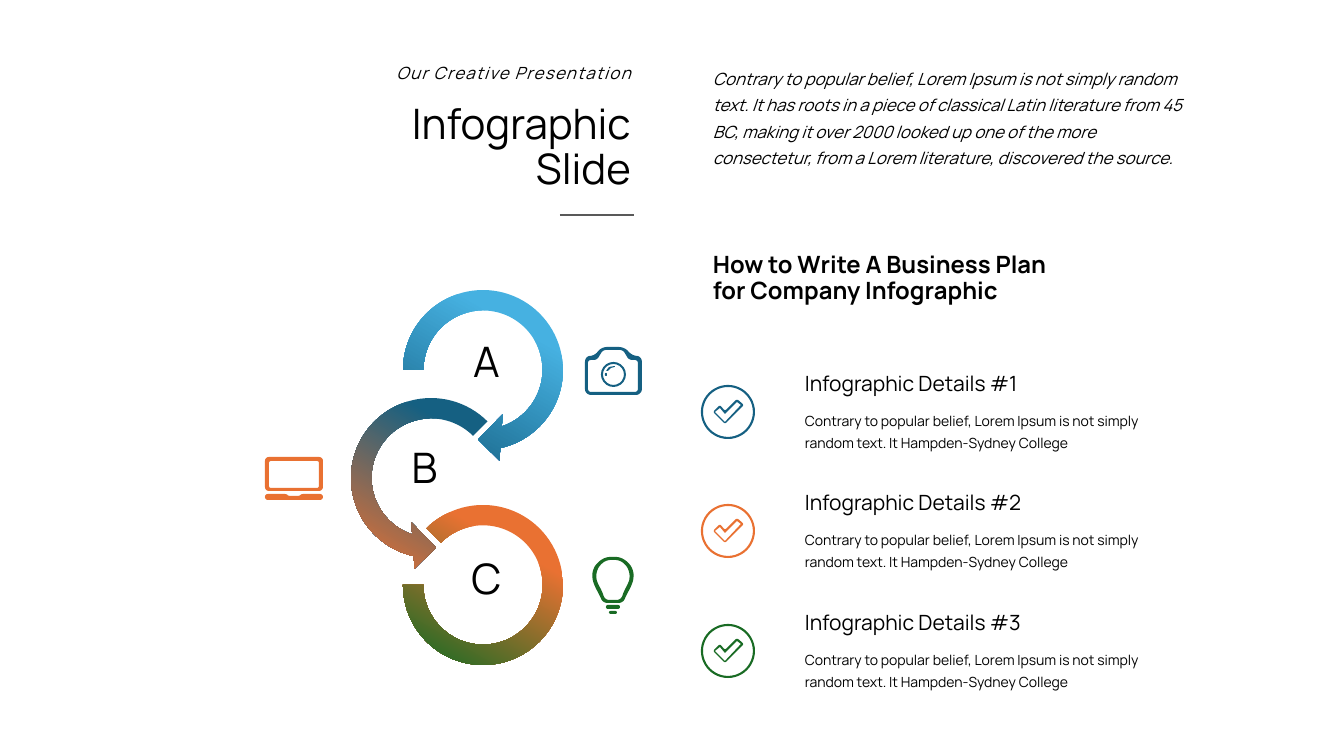
import math
import pptx
import pptx.util
import pptx.dml.color
import pptx.enum.shapes
import pptx.enum.text
import lxml.etree

PX = 9072
FONT = "Manrope"
HUES = {"black": "000000", "gray": "595959", "sky": "46B1E1",
        "blue": "156082", "orange": "E97132", "green": "196B24"}
RGB = {name: pptx.dml.color.RGBColor.from_string(code) for name, code in HUES.items()}
ALIGN = pptx.enum.text.PP_ALIGN
KIND = pptx.enum.shapes.MSO_SHAPE

deck = pptx.Presentation()
deck.slide_width, deck.slide_height = 1344 * PX, 756 * PX
slide = deck.slides.add_slide(deck.slide_layouts[5])
shapes = slide.shapes


def write(area, words, size, align=ALIGN.LEFT, space=0.9, bold=False, slant=False, box=None):
    left, top, width, height = [n * PX for n in area]
    if box is None:
        box = shapes.add_textbox(left, top, width, height)
    else:
        box.left, box.top, box.width, box.height = left, top, width, height
    frame = box.text_frame
    frame.text = words
    frame.word_wrap = True
    frame.auto_size = pptx.enum.text.MSO_AUTO_SIZE.NONE
    frame.vertical_anchor = pptx.enum.text.MSO_ANCHOR.TOP
    para = frame.paragraphs[0]
    para.alignment = align
    para.line_spacing = space
    font = para.runs[0].font
    font.name, font.size = FONT, pptx.util.Pt(size)
    font.bold, font.italic = bold, slant
    font.color.rgb = RGB["black"]
    return box


def draw(loops, hue):
    pen = None
    for bend, spots in loops:
        curve = []
        for i, spot in enumerate(spots):
            ends = []
            for near in (spots[i - 1], spots[(i + 1) % len(spots)]):
                span = math.dist(spot, near)
                part = min(bend, span / 2) / span
                ends.append([s + (n - s) * part for s, n in zip(spot, near)])
            for t in (0, 0.2, 0.4, 0.6, 0.8, 1):
                a, b, c = (1 - t) ** 2, 1.41 * t * (1 - t), t ** 2
                curve.append([PX * (a * p + b * q + c * r) / (a + b + c)
                              for p, q, r in zip(ends[0], spot, ends[1])])
        if pen is None:
            pen = shapes.build_freeform(*curve[0], scale=1.0)
        else:
            pen.move_to(*curve[0])
        pen.add_line_segments(curve[1:], close=True)
    icon = pen.convert_to_shape()
    icon.shadow.inherit = False
    icon.fill.solid()
    icon.fill.fore_color.rgb = RGB[hue]
    icon.line.fill.background()


write((304, 98, 337, 112), "Infographic Slide", 30, ALIGN.RIGHT, box=shapes.title)
motto = write((340, 60, 301, 30), "Our Creative Presentation", 12, ALIGN.RIGHT, slant=True)
motto.text_frame.paragraphs[0].runs[0].font._element.set("spc", "100")

rule = shapes.add_connector(pptx.enum.shapes.MSO_CONNECTOR.STRAIGHT,
                            560 * PX, 215 * PX, 634 * PX, 215 * PX)
rule.line.color.rgb = RGB["gray"]
rule.line.width = pptx.util.Pt(2)
lxml.etree.SubElement(rule._element.spPr, pptx.oxml.ns.qn("a:effectLst"))

write((703, 57, 499, 142),
      "Contrary to popular belief, Lorem Ipsum is not simply random text. "
      "It has roots in a piece of classical Latin literature from 45 BC, "
      "making it over 2000 looked up one of the more consectetur, "
      "from a Lorem literature, discovered the source.",
      12, space=pptx.util.Pt(19), slant=True)

rings = [
    (KIND.CIRCULAR_ARROW, 390, 277, 186, (0.11, 11.423, 45, 108, 0.125), "sky", "blue"),
    (KIND.LEFT_CIRCULAR_ARROW, 338, 385, 186, (0.11, 11.423, 63, 189, 0.125), "blue", "orange"),
    (KIND.BLOCK_ARC, 403, 505, 160, (135, 108, 0.127), "orange", "green"),
]
for kind, left, top, size, bends, start, end in rings:
    ring = shapes.add_shape(kind, left * PX, top * PX, size * PX, size * PX)
    ring.shadow.inherit = False
    for i, bend in enumerate(bends):
        ring.adjustments[i] = bend
    ring.line.fill.background()
    ring.fill.gradient()
    ring.fill.gradient_angle = 240
    for stop, place, hue in zip(ring.fill.gradient_stops, (0.28, 0.96), (start, end)):
        stop.position = place
        stop.color.rgb = RGB[hue]

for mark, left, top in (("A", 453, 336), ("B", 391, 442), ("C", 453, 553)):
    write((left, top, 67, 61), mark, 30, ALIGN.CENTER)

laptop = [
    (4, [(265, 457), (323, 457), (323, 491), (265, 491)]),
    (2, [(269, 461), (319, 461), (319, 488), (269, 488)]),
    (3, [(265, 494), (287, 494), (288, 496), (300, 496), (301, 494),
         (323, 494), (323, 500), (265, 500)]),
]
draw(laptop, "orange")

bulb = [
    (2, [(609, 611), (617, 611), (617, 614), (609, 614)]),
    (2, [(606, 605), (620, 605), (620, 609), (606, 609)]),
]
glass = [(7, 557), (15, 562), (20, 569), (21, 578), (18, 587), (14, 594), (10, 603)]
hollow = [(6, 560), (12, 564), (16, 570), (17, 578), (15, 584), (11, 591), (8, 600)]
for side in (glass, hollow):
    right = [(613 + x, y) for x, y in side]
    bulb.append((4, right + [(613 - x, y) for x, y in reversed(side)]))
draw(bulb, "green")

camera = [
    (6, [(585, 356), (595, 356), (601, 347), (625, 347), (632, 356),
         (642, 356), (642, 395), (585, 395)]),
    (3, [(588, 360), (597, 360), (603, 350), (623, 350), (629, 360),
         (638, 360), (638, 392), (588, 392)]),
    (13, [(601, 362), (626, 362), (626, 387), (601, 387)]),
    (11, [(603, 364), (624, 364), (624, 385), (603, 385)]),
    (1, [(615, 366), (615, 367), (611, 368), (608, 371), (606, 371), (609, 367)]),
    (1, [(605, 373), (607, 373), (607, 376), (605, 376)]),
]
draw(camera, "blue")

write((703, 248, 357, 97), "How to Write A Business Plan for Company Infographic", 17, bold=True)

tick = [
    (2, [(744, 405), (737, 399), (725, 411), (720, 405), (713, 412), (725, 424)]),
    (0, [(741, 405), (737, 402), (725, 414), (720, 408), (715, 412), (725, 422)]),
]
for i, hue in enumerate(("blue", "orange", "green")):
    drop = i * 239 // 2
    draw([(bend, [(x, y + drop) for x, y in spots]) for bend, spots in tick], hue)
    badge = shapes.add_shape(KIND.OVAL, 702 * PX, (386 + drop) * PX, 52 * PX, 52 * PX)
    badge.shadow.inherit = False
    badge.fill.background()
    badge.line.color.rgb = RGB[hue]
    badge.line.width = pptx.util.Pt(1.5)
    write((795, 368 + drop, 306, 35), f"Infographic Details #{i + 1}", 15)
    write((795, 402 + drop, 397, 53),
          "Contrary to popular belief, Lorem Ipsum is not simply random text. "
          "It Hampden-Sydney College", 10, space=pptx.util.Pt(16))

deck.save("out.pptx")
